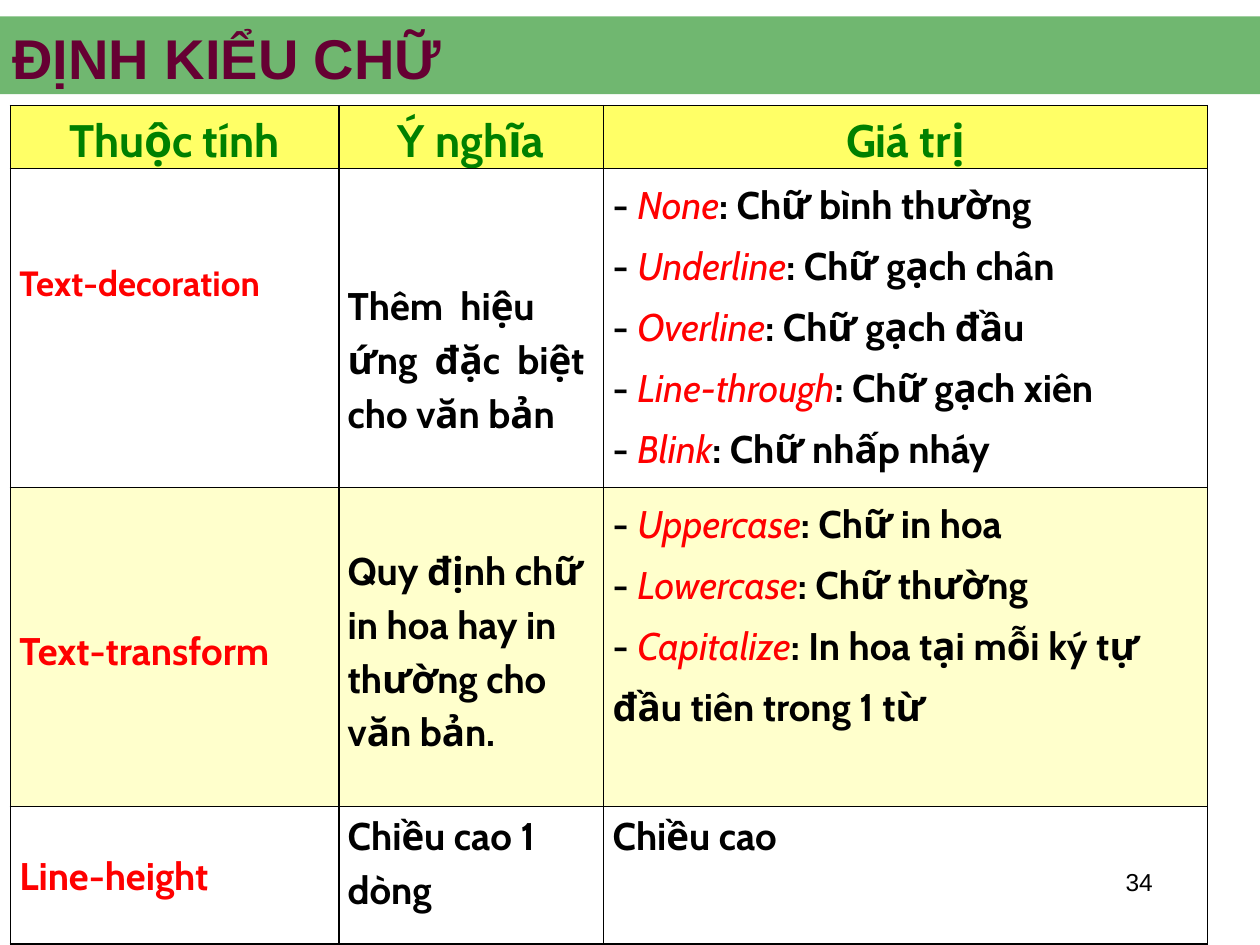
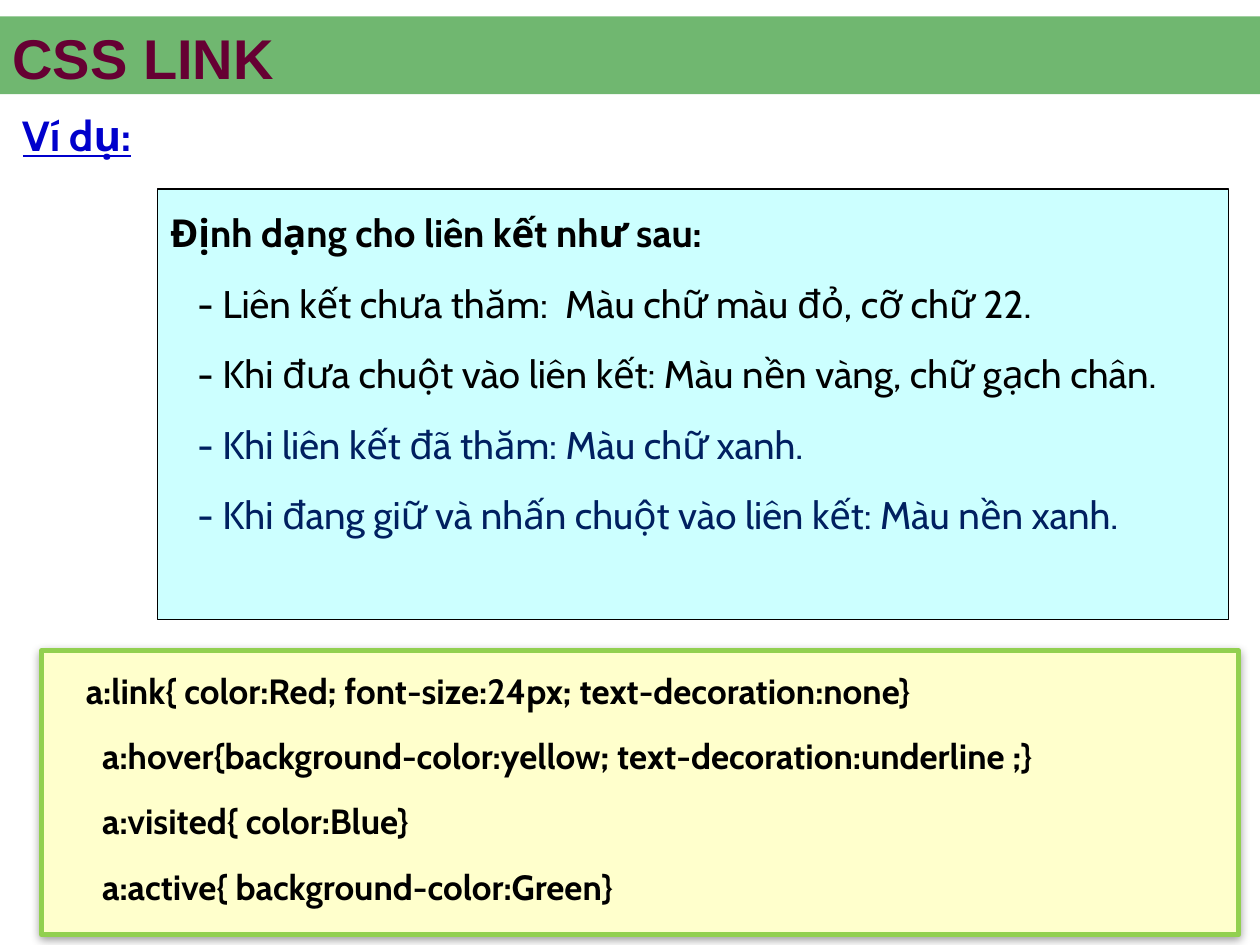
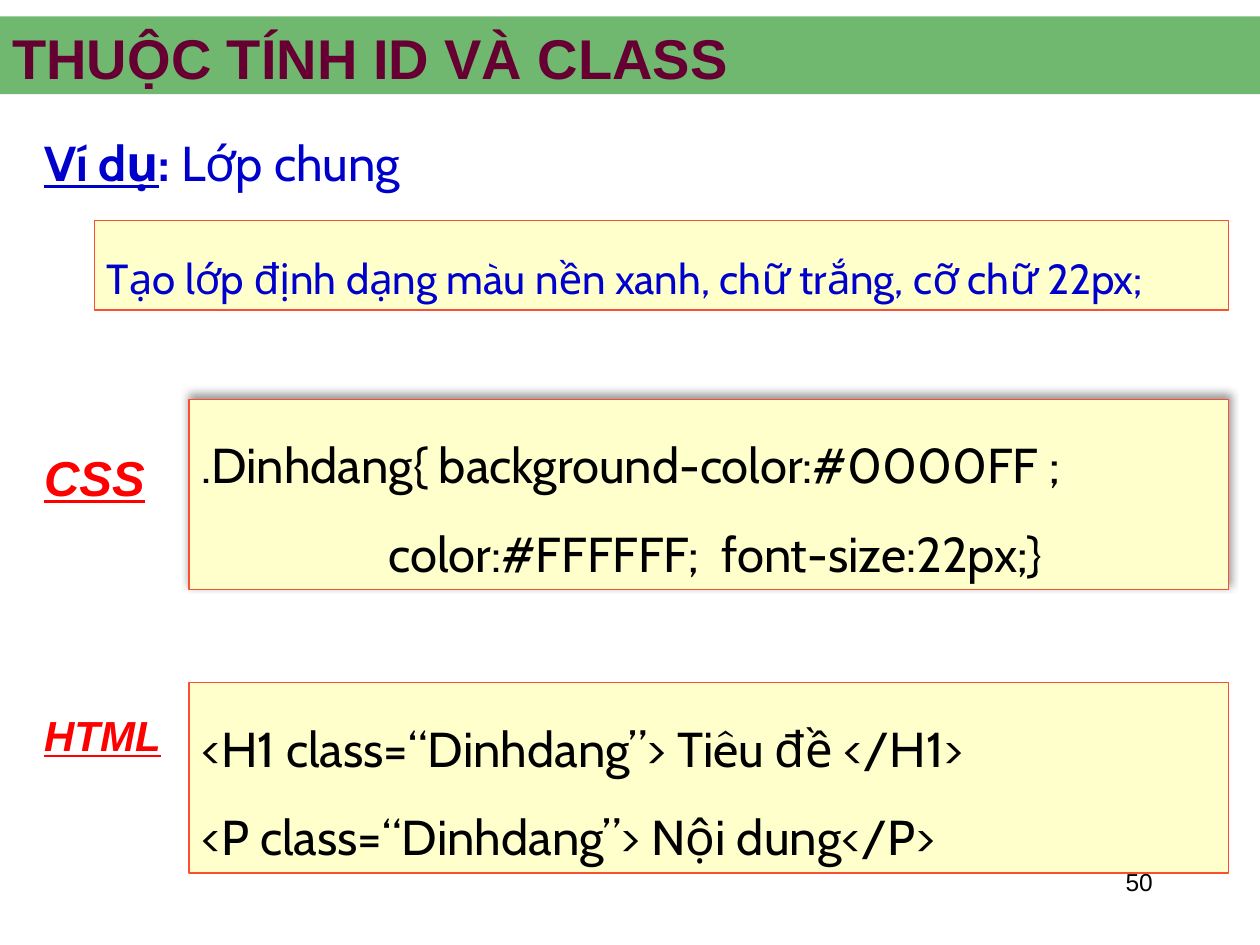
from dataclasses import dataclass, replace
from typing import Optional

from lxml.etree import SubElement
from pptx import Presentation
from pptx.dml.color import RGBColor
from pptx.enum.shapes import MSO_SHAPE as Shape
from pptx.enum.text import MSO_ANCHOR as Anchor, PP_ALIGN as Align
from pptx.oxml import parse_xml
from pptx.oxml.ns import nsdecls, qn
from pptx.util import Cm, Pt

BLACK = RGBColor(0x00, 0x00, 0x00)
RED = RGBColor(0xFF, 0x00, 0x00)
GREEN = RGBColor(0x00, 0x80, 0x00)
MAROON = RGBColor(0x66, 0x00, 0x33)
BLUE = RGBColor(0x00, 0x00, 0xCC)
NAVY = RGBColor(0x00, 0x20, 0x60)
LIME = RGBColor(0x92, 0xD0, 0x50)
ORANGE = RGBColor(0xFA, 0x4F, 0x32)
YELLOW = RGBColor(0xFF, 0xFF, 0x66)
CREAM = RGBColor(0xFF, 0xFF, 0xCC)
AQUA = RGBColor(0xCC, 0xFF, 0xFF)


@dataclass
class Para:
    content: object
    size: float = 22
    color: RGBColor = BLACK
    bold: bool = False
    italic: bool = False
    underline: bool = False
    face: str = "Cabin"
    spacing: float = 1.0
    before: float = 0
    left: float = 0
    align: Align = Align.LEFT


@dataclass
class Cell:
    paras: list
    top: float = 0
    fill: Optional[RGBColor] = None


class Deck:
    def __init__(self):
        self.prs = Presentation()
        self.prs.slide_width, self.prs.slide_height = Cm(25.4), Cm(19.05)
        self.slide = None

    def start(self, title, number=None):
        self.slide = self.prs.slides.add_slide(self.prs.slide_layouts[6])
        if number:
            self.text((18.21, 17.35, 5.28, 1.27),
                      [Para(number, 14, face="Arial", align=Align.RIGHT)])
        band = self.box((0, 0.33, 25.4, 1.57), GREEN)
        color = band._element.spPr.find(qn("a:solidFill"))[0]
        SubElement(color, qn("a:alpha"), val="56000")
        self.text((0, 0.61, 25.4, 1.07),
                  [Para(title, 32, MAROON, bold=True, face="Arial")], Anchor.MIDDLE)

    def typeset(self, frame, paras):
        frame.word_wrap = True
        for index, para in enumerate(paras):
            target = frame.add_paragraph() if index else frame.paragraphs[0]
            target.alignment = para.align
            target.line_spacing = para.spacing
            if para.before:
                target.space_before = Pt(para.before)
            if para.left:
                target._p.get_or_add_pPr().set("marL", str(Cm(para.left)))
            if isinstance(para.content, str):
                target.add_run().text = para.content
                self.style(target.font, para)
                continue
            for content, changes in para.content:
                run = target.add_run()
                run.text = content
                self.style(run.font, replace(para, **changes))

    def style(self, font, para):
        font.name, font.size = para.face, Pt(para.size)
        font.bold, font.italic, font.underline = para.bold, para.italic, para.underline
        font.color.rgb = para.color

    def text(self, place, paras, anchor=Anchor.TOP):
        frame = self.slide.shapes.add_textbox(*map(Cm, place)).text_frame
        frame.vertical_anchor = anchor
        self.typeset(frame, paras)

    def box(self, place, fill, line=None, width=0.75, paras=(), shadow=None):
        panel = self.slide.shapes.add_shape(Shape.RECTANGLE, *map(Cm, place))
        panel.shadow.inherit = False
        panel.fill.solid()
        panel.fill.fore_color.rgb = fill
        if line is None:
            panel.line.fill.background()
        else:
            panel.line.color.rgb = line
            panel.line.width = Pt(width)
        if shadow:
            self.cast(panel, *shadow)
        panel.text_frame.vertical_anchor = Anchor.TOP
        self.typeset(panel.text_frame, paras)
        return panel

    def cast(self, panel, opacity, distance, angle):
        effects = panel._element.spPr.find(qn("a:effectLst"))
        outer = SubElement(effects, qn("a:outerShdw"), blurRad=str(Pt(5)),
                           dist=str(Pt(distance)), dir=str(angle * 60000), rotWithShape="0")
        color = SubElement(outer, qn("a:srgbClr"), val=str(BLACK))
        SubElement(color, qn("a:alpha"), val=str(opacity * 1000))

    def table(self, left, top, widths, heights, rows):
        grid = self.slide.shapes.add_table(
            len(heights), len(widths), Cm(left), Cm(top),
            Cm(sum(widths)), Cm(sum(heights))).table
        grid.first_row = grid.horz_banding = False
        for column, width in zip(grid.columns, widths):
            column.width = Cm(width)
        for row, height, cells in zip(grid.rows, heights, rows):
            row.height = Cm(height)
            for target, cell in zip(row.cells, cells):
                self.fill_cell(target, cell)

    def fill_cell(self, target, cell):
        target.margin_left = target.margin_right = Cm(0.18)
        target.margin_top, target.margin_bottom = Cm(cell.top), 0
        for side in ("lnL", "lnR", "lnT", "lnB"):
            target._tc.get_or_add_tcPr().append(parse_xml(
                f'<a:{side} {nsdecls("a")} w="{Pt(1)}"><a:solidFill>'
                f'<a:srgbClr val="{BLACK}"/></a:solidFill></a:{side}>'))
        if cell.fill is None:
            target.fill.background()
        else:
            target.fill.solid()
            target.fill.fore_color.rgb = cell.fill
        self.typeset(target.text_frame, cell.paras)


def heading(label):
    return Cell([Para(label, 26, GREEN, bold=True, spacing=1.15, align=Align.CENTER)], fill=YELLOW)


def property_name(label, top, fill=None, size=22):
    return Cell([Para(label, size, RED, bold=True)], top, fill)


def meaning(label, top=0, fill=None):
    return Cell([Para(label, bold=True, spacing=1.15)], top, fill)


def values(pairs, fill=None):
    keyword = dict(color=RED, bold=False, italic=True)
    return Cell([Para([("-\u00a0", {}), (name, keyword), (f": {effect}", {})],
                      bold=True, spacing=1.3) for name, effect in pairs], fill=fill)


def font_style_slide(deck):
    deck.start("ĐỊNH KIỂU CHỮ", "34")
    decorations = [("None", "Chữ bình thường"), ("Underline", "Chữ gạch chân"),
                   ("Overline", "Chữ gạch đầu"), ("Line-through", "Chữ gạch xiên"),
                   ("Blink", "Chữ nhấp nháy")]
    transforms = [("Uppercase", "Chữ in hoa"), ("Lowercase", "Chữ thường"),
                  ("Capitalize", "In hoa tại mỗi ký tự đầu tiên trong 1 từ")]
    deck.table(0.21, 2.13, [6.62, 5.34, 12.17], [1.27, 6.43, 6.43, 2.77], [
        [heading(label) for label in ("Thuộc tính", "Ý nghĩa", "Giá trị")],
        [property_name("Text-decoration", 1.89, size=20),
         meaning("Thêm  hiệu  ứng  đặc  biệt  cho văn bản", 2.17),
         values(decorations)],
        [property_name("Text-transform", 2.83, CREAM),
         meaning("Quy định chữ in hoa hay in thường cho văn bản.", 1.08, CREAM),
         values(transforms, CREAM)],
        [property_name("Line-height", 0.94), meaning("Chiều cao 1 dòng"),
         meaning("Chiều cao")],
    ])


def link_slide(deck):
    deck.start("CSS LINK")
    states = [("Liên kết chưa thăm:  Màu chữ màu đỏ, cỡ chữ 22.", BLACK),
              ("Khi đưa chuột vào liên kết: Màu nền vàng, chữ gạch chân.", BLACK),
              ("Khi liên kết đã thăm: Màu chữ xanh.", NAVY),
              ("Khi đang giữ và nhấn chuột vào liên kết: Màu nền xanh.", NAVY)]
    task = [Para("Định dạng cho liên kết như sau:", bold=True, spacing=1.3)]
    task += [Para(f"- {state}", color=color, spacing=1.3, before=6, left=0.55)
             for state, color in states]
    deck.box((3.18, 3.81, 21.59, 8.68), AQUA, BLACK, paras=task)

    rules = ["a:hover{background-color:yellow; text-decoration:underline ;}",
             "a:visited{ color:Blue}", "a:active{ background-color:Green}"]
    css = [Para("a:link{ color:Red; font-size:24px; text-decoration:none}", 20,
                bold=True, spacing=1.3, left=0.64)]
    css += [Para(rule, 20, bold=True, spacing=1.3, before=6, left=0.97) for rule in rules]
    deck.box((0.84, 13.12, 24.13, 5.72), CREAM, LIME, 3, css, (38, 1.6, 90))
    deck.text((0.21, 2.2, 24.97, 1.7),
              [Para("Ví dụ:", 24, BLUE, bold=True, underline=True, spacing=0.9)])


def class_slide(deck):
    deck.start("THUỘC TÍNH ID VÀ CLASS", "50")
    deck.box((1.9, 4.45, 22.86, 1.8), CREAM, ORANGE, paras=[
        Para("Tạo lớp định dạng màu nền xanh, chữ trắng, cỡ chữ 22px;", 24, BLUE, spacing=1.5)])
    deck.text((0.64, 2.54, 8.23, 1.45), [Para(
        [("Ví dụ", dict(bold=True, underline=True)), (": ", dict(bold=True)),
         ("Lớp chung", {})], 28, BLUE)])

    css = [".Dinhdang{ background-color:#0000FF ;",
           "                 color:#FFFFFF;  font-size:22px;}"]
    html = ["<H1 class=“Dinhdang”> Tiêu đề </H1>", "<P class=“Dinhdang”> Nội dung</P>"]
    examples = [("CSS", 28, 8.89, css, 8.05, (40, 3, 270)),
                ("HTML", 24, 14.18, html, 13.76, None)]
    for language, size, label_top, code, code_top, shadow in examples:
        deck.text((0.64, label_top, 2.96, 1.4), [Para(
            language, size, RED, bold=True, italic=True, underline=True, face="Arial")])
        deck.box((3.81, code_top, 20.96, 3.84), CREAM, ORANGE, shadow=shadow,
                 paras=[Para(line, 28, spacing=1.5) for line in code])


def main():
    deck = Deck()
    font_style_slide(deck)
    link_slide(deck)
    class_slide(deck)
    deck.prs.save("out.pptx")


if __name__ == "__main__":
    main()
